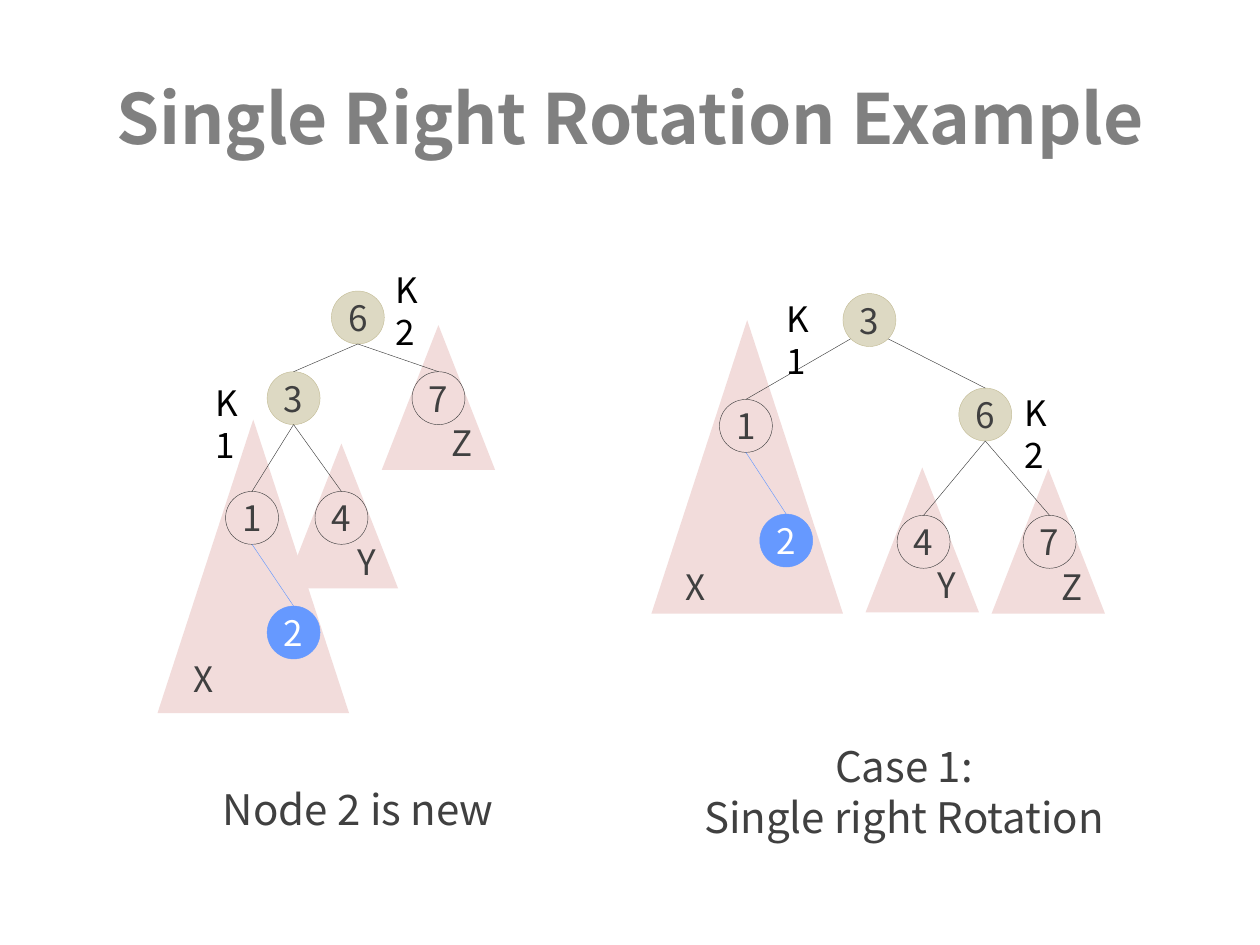
from lxml import etree
from pptx import Presentation, util as u
from pptx.dml.color import RGBColor
from pptx.enum import shapes, text
from pptx.oxml.ns import qn

presentation = Presentation()
presentation.slide_width, presentation.slide_height = u.Inches(10), u.Inches(7.5)
column = presentation.slide_width / 100
row = presentation.slide_height / 75
slide = presentation.slides.add_slide(presentation.slide_layouts[5])
LEFT, CENTER, RIGHT = text.PP_ALIGN.LEFT, text.PP_ALIGN.CENTER, text.PP_ALIGN.RIGHT
GREY, BLUE, PINK, WHITE, BLACK = "404040", "6699FF", "F2DCDB", "FFFFFF", "000000"


def place(*cells):
    return [round(cell * unit) for cell, unit in zip(cells, (column, row) * 2)]


def write(shape, words, size, color, alignment, wrap=False):
    frame = shape.text_frame
    frame.text = words
    frame.word_wrap = wrap
    paragraph = frame.paragraphs[0]
    paragraph.alignment = alignment
    paragraph.font.name = "Noto Sans CJK SC"
    paragraph.font.size = u.Pt(size)
    paragraph.font.color.rgb = RGBColor.from_string(color)
    return paragraph


title = slide.shapes.title
title.left, title.top, title.width, title.height = place(5, 3, 90, 12.5)
write(title, "Single Right Rotation Example", 39.6, "808080", CENTER, True).font.bold = True
title.text_frame.vertical_anchor = text.MSO_ANCHOR.MIDDLE

diameter = 4.2
small, large = (9, 11.5), (15.2, 23.3)
root, plain, new = ("DDD9C3", "C4BD97", GREY), (None, GREY, GREY), (BLUE, BLUE, WHITE)
styles = {"6": root, "3": root, "1": plain, "4": plain, "7": plain, "2": new}

trees = [
    {
        "subtrees": [(30.3, 25.8, small), (22.6, 35.2, small), (12.5, 33.3, large)],
        "nodes": {"6": (26.3, 23.1), "3": (21.2, 29.5), "7": (32.7, 29.5),
                  "1": (17.9, 39), "4": (25, 39), "2": (21.2, 48.1)},
        "edges": ["63", "67", "31", "34", "12"],
        "names": {"Z": (34.8, 33), "X": (14.2, 51.7), "Y": (27.1, 42.4)},
        "keys": {"K1": (16.1, 29.8), "K2": (30.4, 20.8)},
        "root_spread": 0,
    },
    {
        "subtrees": [(78.7, 37.2, small), (68.7, 37.1, small), (51.7, 25.4, large)],
        "nodes": {"3": (66.9, 23.3), "6": (76.1, 30.8), "1": (57.1, 31.7),
                  "7": (81.2, 40.9), "4": (71.2, 40.9), "2": (60.3, 40.8)},
        "edges": ["36", "31", "67", "64", "12"],
        "names": {"Z": (83.2, 44.4), "X": (53.3, 44.4), "Y": (73.2, 44.2)},
        "keys": {"K1": (61.4, 23.1), "K2": (80.3, 30.6)},
        "root_spread": 1.5,
    },
]

for tree in trees:
    for left, top, size in tree["subtrees"]:
        triangle = slide.shapes.add_shape(
            shapes.MSO_SHAPE.ISOSCELES_TRIANGLE, *place(left, top, *size))
        triangle.shadow.inherit = False
        triangle.fill.solid()
        triangle.fill.fore_color.rgb = RGBColor.from_string(PINK)
        triangle.line.fill.background()

    circles = {}
    for number, corner in tree["nodes"].items():
        fill, outline, ink = styles[number]
        circle = slide.shapes.add_shape(
            shapes.MSO_SHAPE.OVAL, *place(*corner, diameter, diameter))
        circle.shadow.inherit = False
        if fill:
            circle.fill.solid()
            circle.fill.fore_color.rgb = RGBColor.from_string(fill)
        else:
            circle.fill.background()
        circle.line.color.rgb = RGBColor.from_string(outline)
        circle.line.width = u.Pt(0.25)
        write(circle, number, 20, ink, CENTER)
        circle.text_frame.vertical_anchor = text.MSO_ANCHOR.MIDDLE
        circles[number] = circle

    top_node = next(iter(tree["nodes"]))
    for parent, child in tree["edges"]:
        left, top = tree["nodes"][parent]
        spread = tree["root_spread"] if parent == top_node else 0
        side = 1 if tree["nodes"][child][0] > left else -1
        start = place(left + diameter / 2 + side * spread,
                      top + diameter - spread * 0.4)
        edge = slide.shapes.add_connector(shapes.MSO_CONNECTOR.STRAIGHT, *start, *start)
        edge.end_connect(circles[child], 0)
        edge.line.color.rgb = RGBColor.from_string(BLUE if child == "2" else GREY)
        edge.line.width = u.Pt(0.25)
        etree.SubElement(edge.element.spPr, qn("a:effectLst"))

    for name, corner in tree["names"].items():
        label = slide.shapes.add_textbox(*place(*corner, 3.7, 4.4))
        write(label, name, 20, GREY, RIGHT)
    for key, corner in tree["keys"].items():
        label = slide.shapes.add_textbox(*place(*corner, 4.7, 4.4))
        write(label, key, 20, BLACK, LEFT, True)

captions = [
    ("Node 2 is new", (16.7, 61.7, 24, 6.7), LEFT),
    ("Case 1:\vSingle right Rotation", (53.3, 58.3, 36.9, 10), CENTER),
]
for words, cells, alignment in captions:
    caption = slide.shapes.add_textbox(*place(*cells))
    write(caption, words, 24, GREY, alignment, True).space_before = u.Pt(4.8)

presentation.save("out.pptx")
